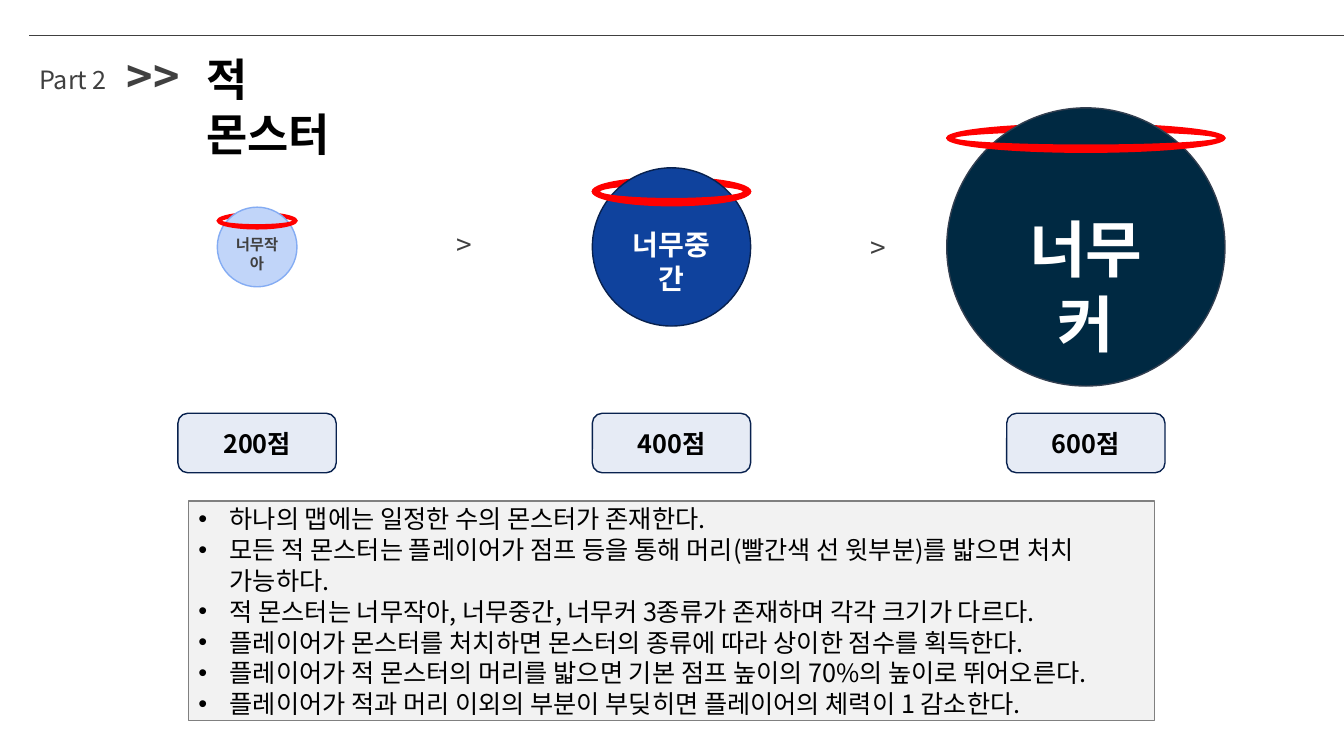
from pptx import Presentation
from pptx.dml.color import RGBColor
from pptx.enum import shapes, text
from pptx.oxml import xmlchemy
from pptx.util import Inches, Pt

FONT = "Noto Sans CJK KR"
GREY, BLACK, WHITE, RED = "404040", "000000", "FFFFFF", "FF0000"
BLUE, NAVY = "0F429D", "08214E"
KIND = shapes.MSO_SHAPE
MID = 2.45    # centre height of the circles
FIRST = 2.55  # centre of the first column
PITCH = 4.11  # distance between columns

# name, name size, name box (top, width, height), diameter, ring (top, height), fill, line, ink, score
MONSTERS = [
    ("너무작아", 11, (2.28, 0.73, 0.29), 0.79, (2.11, 0.16), "C1D5F9", "84ACF3", GREY, "200점"),
    ("너무중간", 20, (2.2, 1.17, 0.44), 1.57, (1.76, 0.28), BLUE, NAVY, WHITE, "400점"),
    ("너무커", 44, (2.03, 1.8, 0.84), 2.76, (1.23, 0.28), "002942", "333F50", WHITE, "600점"),
]
RULES = [
    "하나의 맵에는 일정한 수의 몬스터가 존재한다.",
    "모든 적 몬스터는 플레이어가 점프 등을 통해 머리(빨간색 선 윗부분)를 밟으면 처치 가능하다.",
    "적 몬스터는 너무작아, 너무중간, 너무커 3종류가 존재하며 각각 크기가 다르다.",
    "플레이어가 몬스터를 처치하면 몬스터의 종류에 따라 상이한 점수를 획득한다.",
    "플레이어가 적 몬스터의 머리를 밟으면 기본 점프 높이의 70%의 높이로 뛰어오른다.",
    "플레이어가 적과 머리 이외의 부분이 부딪히면 플레이어의 체력이 1 감소한다.",
]


def color(code):
    return RGBColor.from_string(code)


def add(parent, tag, **attrs):
    """Append a DrawingML element to parent."""
    node = xmlchemy.OxmlElement(tag)
    for key, value in attrs.items():
        node.set(key, value)
    parent.append(node)
    return node


def style(para, size, ink, bold=False, center=False):
    para.alignment = text.PP_ALIGN.CENTER if center else text.PP_ALIGN.LEFT
    para.line_spacing = Pt(round(size * 1.22, 1))
    for run in para.runs:
        font = run.font
        font.name, font.size, font.bold = FONT, Pt(size), bold
        font.color.rgb = color(ink)
        add(run.font._element, "a:ea", typeface=FONT)


def label(slide, box, words, size, ink, bold=False, center=False):
    frame = slide.shapes.add_textbox(*map(Inches, box)).text_frame
    frame.word_wrap = True
    frame.text = words
    style(frame.paragraphs[0], size, ink, bold, center)


def shape(slide, kind, box, fill, line):
    item = slide.shapes.add_shape(kind, *map(Inches, box))
    item.shadow.inherit = False
    item.fill.solid()
    item.fill.fore_color.rgb = color(fill)
    item.line.color.rgb = color(line)
    item.line.width = Pt(1)
    return item


def header(slide, left, top, width):
    rule = slide.shapes.add_connector(
        shapes.MSO_CONNECTOR.STRAIGHT,
        *map(Inches, (left, top, left + width, top)))
    rule.line.color.rgb = color(GREY)
    rule.line.width = Pt(0.5)
    add(rule._element.spPr, "a:effectLst")
    label(slide, (left, top + 0.23, 0.88, 0.4), "Part 2", 18, GREY)
    label(slide, (left + 0.87, top + 0.08, 0.79, 0.64), ">>", 32, GREY, True)
    label(slide, (left + 1.66, top + 0.11, 1.87, 0.64), "적 몬스터", 32, BLACK, True)


def monster(slide, mid, name, size, tag, wide, ring, fill, line, ink):
    """Circle centred on mid, with a ring passing behind and in front."""
    left = mid - wide / 2
    halo = (left, ring[0], wide, ring[1])
    shape(slide, KIND.BLOCK_ARC, halo, RED, RED)
    shape(slide, KIND.OVAL, (left, MID - wide / 2, wide, wide), fill, line)
    top, span, high = tag
    label(slide, (mid - span / 2, top, span, high), name, size, ink, True, True)
    shape(slide, KIND.BLOCK_ARC, halo, RED, RED).rotation = 180


def badge(slide, mid, score):
    item = shape(slide, KIND.ROUNDED_RECTANGLE, (mid - 0.785, 4.1, 1.57, 0.59), BLUE, NAVY)
    add(item.fill._xPr.solidFill[0], "a:alpha", val="10000")
    frame = item.text_frame
    frame.vertical_anchor = text.MSO_ANCHOR.MIDDLE
    frame.text = score
    style(frame.paragraphs[0], 18, BLACK, True, True)


def rules(slide, box):
    frame = shape(slide, KIND.RECTANGLE, box, "F2F2F2", "808080").text_frame
    frame.word_wrap = True
    frame.vertical_anchor = text.MSO_ANCHOR.MIDDLE
    frame.text = "\n".join(RULES)
    for para in frame.paragraphs:
        style(para, 18, BLACK)
        props = para._p.get_or_add_pPr()
        props.set("marL", str(Inches(0.31)))
        props.set("indent", str(-Inches(0.31)))
        add(props, "a:buFont", typeface="Arial")
        add(props, "a:buChar", char="•")


def main():
    deck = Presentation()
    deck.slide_width, deck.slide_height = Inches(13.33), Inches(7.5)
    slide = deck.slides.add_slide(deck.slide_layouts[6])
    header(slide, 0.29, 0.35, 13.04)
    for col, (*look, score) in enumerate(MONSTERS):
        mid = FIRST + col * PITCH
        monster(slide, mid, *look)
        badge(slide, mid, score)
        if col:
            label(slide, (mid - PITCH / 2 - 0.19, 2.17 + col * 0.03, 0.38, 0.44),
                  ">", 20, GREY, center=True)
    rules(slide, (1.87, 4.97, 9.58, 2.18))
    deck.save("out.pptx")


if __name__ == "__main__":
    main()
